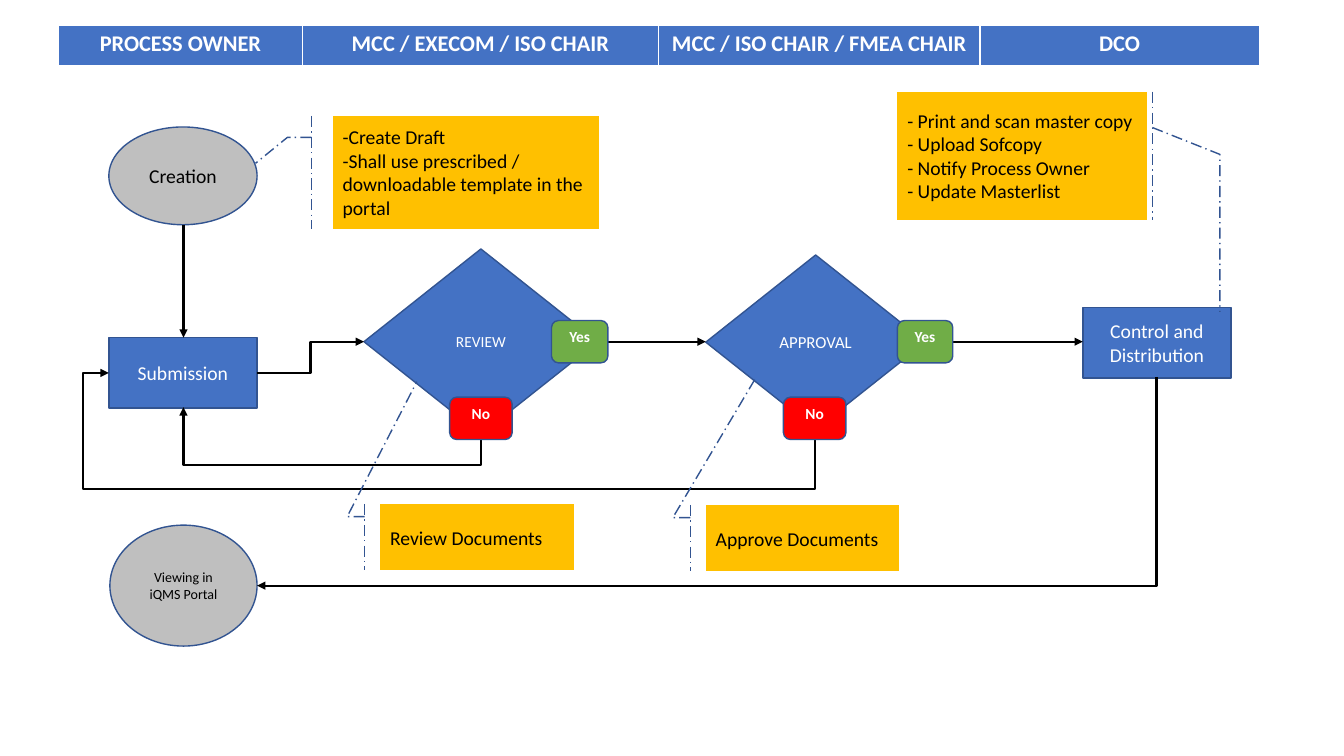
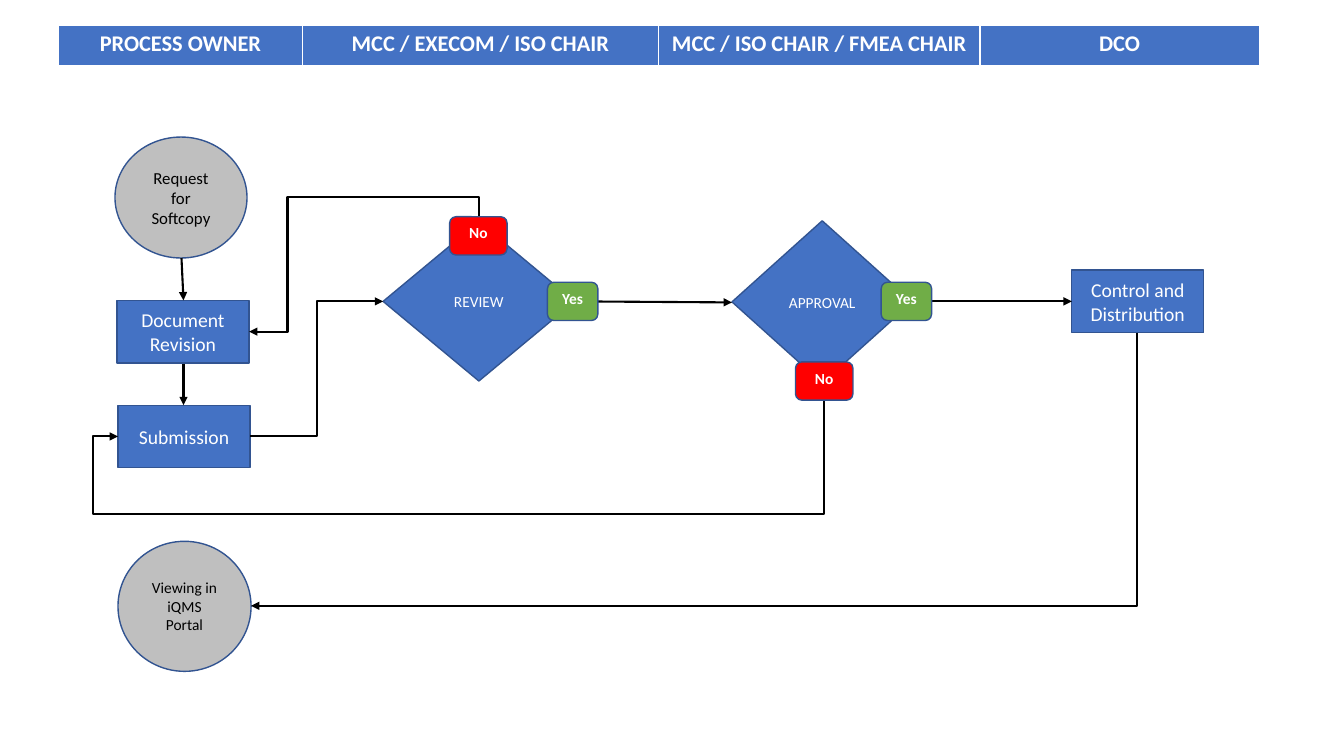
from dataclasses import dataclass
from typing import NamedTuple

from lxml.etree import SubElement
from pptx import Presentation
from pptx.dml.color import RGBColor
from pptx.enum.dml import MSO_LINE
from pptx.enum.shapes import MSO_CONNECTOR as Connector, MSO_SHAPE as Preset
from pptx.enum.text import MSO_ANCHOR as Anchor, PP_ALIGN as Align
from pptx.oxml.ns import qn
from pptx.util import Inches, Pt

FONT = "Calibri"
BLUE, OUTLINE, GRAY = "4472C4", "325491", "BFBFBF"
GREEN, RED, AMBER = "70AD47", "FF0000", "FFC000"
BLACK, WHITE = "000000", "FFFFFF"

LANES = [
    ("PROCESS OWNER", 2.42),
    ("MCC / EXECOM / ISO CHAIR", 3.53),
    ("MCC / ISO CHAIR / FMEA CHAIR", 3.19),
    ("DCO", 2.77),
]
HEADER_LEFT, HEADER_TOP, HEADER_HEIGHT = 0.58, 0.25, 0.41
BORDERS = {"a:lnL": 1, "a:lnR": 1, "a:lnT": 1, "a:lnB": 3}


class Point(NamedTuple):
    x: float
    y: float


class Box(NamedTuple):
    left: float
    top: float
    width: float
    height: float


@dataclass(frozen=True)
class Style:
    preset: Preset
    fill: str
    text_color: str = WHITE
    bold: bool = False
    align: Align = Align.CENTER
    anchor: Anchor = Anchor.MIDDLE
    dash: MSO_LINE | None = None


TERMINAL = Style(Preset.OVAL, GRAY, BLACK)
PROCESS = Style(Preset.RECTANGLE, BLUE)
DECISION = Style(Preset.FLOWCHART_DECISION, BLUE)
YES = Style(Preset.ROUNDED_RECTANGLE, GREEN, bold=True, anchor=Anchor.TOP)
NO = Style(Preset.ROUNDED_RECTANGLE, RED, bold=True, anchor=Anchor.TOP)
CALLOUT = Style(Preset.LINE_CALLOUT_2_ACCENT_BAR, AMBER, BLACK,
                align=Align.LEFT, dash=MSO_LINE.LONG_DASH_DOT)


@dataclass(frozen=True)
class Node:
    style: Style
    box: Box
    lines: tuple[str, ...]
    size: int = 14
    adjustments: tuple[float, ...] = ()


@dataclass(frozen=True)
class Flow:
    """One slide: steps lie under the arrows, labels lie over them."""
    steps: list[Node]
    arrows: list[list[tuple[float, float]]]
    labels: list[Node]


def rgb(color: str) -> RGBColor:
    return RGBColor.from_string(color)


def add_text(paragraph, text: str, size: int, color: str, bold: bool, align: Align) -> None:
    paragraph.alignment = align
    run = paragraph.add_run()
    run.text = text
    run.font.name = FONT
    run.font.size = Pt(size)
    run.font.bold = bold
    run.font.color.rgb = rgb(color)


def add_node(slide, node: Node) -> None:
    style = node.style
    shape = slide.shapes.add_shape(style.preset, *map(Inches, node.box))
    shape.shadow.inherit = False
    for index, value in enumerate(node.adjustments):
        shape.adjustments[index] = value
    shape.fill.solid()
    shape.fill.fore_color.rgb = rgb(style.fill)
    shape.line.color.rgb = rgb(OUTLINE)
    shape.line.width = Pt(1)
    if style.dash is not None:
        shape.line.dash_style = style.dash
    frame = shape.text_frame
    frame.word_wrap = True
    frame.vertical_anchor = style.anchor
    for index, line in enumerate(node.lines):
        paragraph = frame.add_paragraph() if index else frame.paragraphs[0]
        add_text(paragraph, line, node.size, style.text_color, style.bold, style.align)


def shape_elbow(connector, points: list[Point]) -> None:
    """Turn, flip and adjust a connector so that it bends at the inner points."""
    start, end = points[0], points[-1]
    goes_down = points[1].x == start.x
    flip_x, flip_y = end.x < start.x, end.y < start.y
    properties = connector.element.spPr
    transform = properties.find(qn("a:xfrm"))
    if goes_down:
        transform.set("rot", str(90 * 60000))
        flip_x, flip_y = flip_y, not flip_x
    transform.set("flipH", str(int(flip_x)))
    transform.set("flipV", str(int(flip_y)))

    geometry = properties.find(qn("a:prstGeom"))
    geometry.set("prst", f"bentConnector{len(points) - 1}")
    guides = geometry.find(qn("a:avLst"))
    for number, bend in enumerate(points[1:-2], start=1):
        vertical = goes_down == (number % 2 == 1)
        if vertical:
            ratio = (bend.y - start.y) / (end.y - start.y)
        else:
            ratio = (bend.x - start.x) / (end.x - start.x)
        SubElement(guides, qn("a:gd"), name=f"adj{number}", fmla=f"val {round(ratio * 100000)}")


def add_arrow(slide, corners: list[tuple[float, float]]) -> None:
    points = [Point(*corner) for corner in corners]
    start, end = points[0], points[-1]
    if len(points) == 2:
        connector = slide.shapes.add_connector(
            Connector.STRAIGHT, *map(Inches, (*start, *end)))
    else:
        width, height = abs(end.x - start.x), abs(end.y - start.y)
        if points[1].x == start.x:
            width, height = height, width
        left = (start.x + end.x - width) / 2
        top = (start.y + end.y - height) / 2
        connector = slide.shapes.add_connector(
            Connector.ELBOW, *map(Inches, (left, top, left + width, top + height)))
        shape_elbow(connector, points)
    connector.line.color.rgb = rgb(BLACK)
    connector.line.width = Pt(1.5)
    SubElement(connector.line._get_or_add_ln(), qn("a:tailEnd"), type="triangle")
    SubElement(connector.element.spPr, qn("a:effectLst"))


def add_cell_borders(cell) -> None:
    properties = cell._tc.get_or_add_tcPr()
    for index, (tag, width) in enumerate(BORDERS.items()):
        border = SubElement(properties, qn(tag), w=str(Pt(width)))
        fill = SubElement(border, qn("a:solidFill"))
        SubElement(fill, qn("a:srgbClr"), val=WHITE)
        properties.insert(index, border)


def add_lane_header(slide) -> None:
    total_width = sum(width for _, width in LANES)
    table = slide.shapes.add_table(
        1, len(LANES), Inches(HEADER_LEFT), Inches(HEADER_TOP),
        Inches(total_width), Inches(HEADER_HEIGHT)).table
    for index, (title, width) in enumerate(LANES):
        table.columns[index].width = Inches(width)
        cell = table.cell(0, index)
        cell.fill.solid()
        cell.fill.fore_color.rgb = rgb(BLUE)
        add_cell_borders(cell)
        add_text(cell.text_frame.paragraphs[0], title, 16, WHITE, True, Align.CENTER)


def badge(style: Style, left: float, top: float, width: float, height: float) -> Node:
    text = "Yes" if style is YES else "No"
    return Node(style, Box(left, top, width, height), (text,), 11)


CREATION_FLOW = Flow(
    steps=[
        Node(TERMINAL, Box(1.08, 1.26, 1.47, 0.97), ("Creation",)),
        Node(PROCESS, Box(1.08, 3.35, 1.47, 0.7), ("Submission",)),
        Node(PROCESS, Box(10.74, 3.05, 1.47, 0.7), ("Control and Distribution",)),
        Node(DECISION, Box(3.61, 2.47, 2.32, 1.84), ("REVIEW",), 11),
        Node(DECISION, Box(7, 2.53, 2.18, 1.73), ("APPROVAL",), 12),
        Node(TERMINAL, Box(1.09, 5.21, 1.46, 1.2), ("Viewing in iQMS Portal",), 10),
    ],
    arrows=[
        [(1.82, 2.23), (1.82, 3.35)],
        [(2.55, 3.7), (3.08, 3.7), (3.08, 3.39), (3.61, 3.39)],
        [(5.93, 3.39), (7, 3.39)],
        [(9.17, 3.39), (10.74, 3.39)],
        [(4.77, 4.36), (4.77, 4.61), (1.82, 4.61), (1.82, 4.04)],
        [(8.08, 4.36), (8.08, 4.85), (0.83, 4.85), (0.83, 3.7), (1.08, 3.7)],
        [(11.47, 3.74), (11.47, 5.81), (2.55, 5.81)],
    ],
    labels=[
        badge(NO, 4.46, 3.94, 0.62, 0.42),
        badge(NO, 7.77, 3.94, 0.62, 0.42),
        badge(YES, 5.47, 3.18, 0.56, 0.42),
        badge(YES, 8.9, 3.18, 0.55, 0.42),
        Node(CALLOUT, Box(3.3, 1.15, 2.64, 1.12),
             ("-Create Draft",
              "-Shall use prescribed / downloadable template in the portal"),
             adjustments=(0.19, -0.08, 0.19, -0.17, 0.42, -0.29)),
        Node(CALLOUT, Box(3.77, 5, 1.92, 0.66), ("Review Documents",),
             adjustments=(0.19, -0.08, 0.19, -0.17, -1.84, 0.19)),
        Node(CALLOUT, Box(7, 5.01, 1.92, 0.66), ("Approve Documents",),
             adjustments=(0.19, -0.08, 0.19, -0.17, -1.92, 0.26)),
        Node(CALLOUT, Box(8.9, 0.91, 2.48, 1.27),
             ("- Print and scan master copy", "- Upload Sofcopy",
              "- Notify Process Owner", "- Update Masterlist"),
             adjustments=(0.28, 1.02, 0.49, 1.29, 1.72, 1.29)),
    ],
)

REVISION_FLOW = Flow(
    steps=[
        Node(TERMINAL, Box(1.14, 1.36, 1.31, 1.2), ("Request for Softcopy",), 12),
        Node(PROCESS, Box(1.16, 2.98, 1.31, 0.62), ("Document Revision",)),
        Node(PROCESS, Box(1.17, 4.02, 1.31, 0.62), ("Submission",)),
        Node(PROCESS, Box(10.63, 2.68, 1.31, 0.62), ("Control and Distribution",)),
        Node(DECISION, Box(3.8, 2.2, 1.9, 1.58), ("REVIEW",), 11),
        Node(DECISION, Box(7.26, 2.19, 1.79, 1.61), ("APPROVAL",), 11),
        Node(TERMINAL, Box(1.17, 5.37, 1.32, 1.29), ("Viewing in iQMS Portal",), 11),
    ],
    arrows=[
        [(1.8, 2.56), (1.82, 2.98)],
        [(1.82, 3.61), (1.82, 4.02)],
        [(2.48, 4.33), (3.14, 4.33), (3.14, 2.99), (3.8, 2.99)],
        [(5.7, 2.99), (7.26, 3)],
        [(9.24, 2.99), (10.63, 2.99)],
        [(4.75, 2.2), (4.75, 1.95), (2.85, 1.95), (2.85, 3.29), (2.47, 3.29)],
        [(8.17, 3.97), (8.17, 5.1), (0.92, 5.1), (0.92, 4.33), (1.17, 4.33)],
        [(11.28, 3.3), (11.28, 6.01), (2.49, 6.01)],
    ],
    labels=[
        badge(YES, 5.43, 2.8, 0.5, 0.38),
        badge(YES, 8.74, 2.8, 0.5, 0.38),
        badge(NO, 4.46, 2.15, 0.57, 0.38),
        badge(NO, 7.89, 3.59, 0.57, 0.38),
    ],
)


def add_flow_slide(presentation, flow: Flow) -> None:
    slide = presentation.slides.add_slide(presentation.slide_layouts[6])
    add_lane_header(slide)
    for step in flow.steps:
        add_node(slide, step)
    for arrow in flow.arrows:
        add_arrow(slide, arrow)
    for label in flow.labels:
        add_node(slide, label)


def main() -> None:
    presentation = Presentation()
    presentation.slide_width = Inches(13.33)
    presentation.slide_height = Inches(7.5)
    for flow in (CREATION_FLOW, REVISION_FLOW):
        add_flow_slide(presentation, flow)
    presentation.save("out.pptx")


if __name__ == "__main__":
    main()
